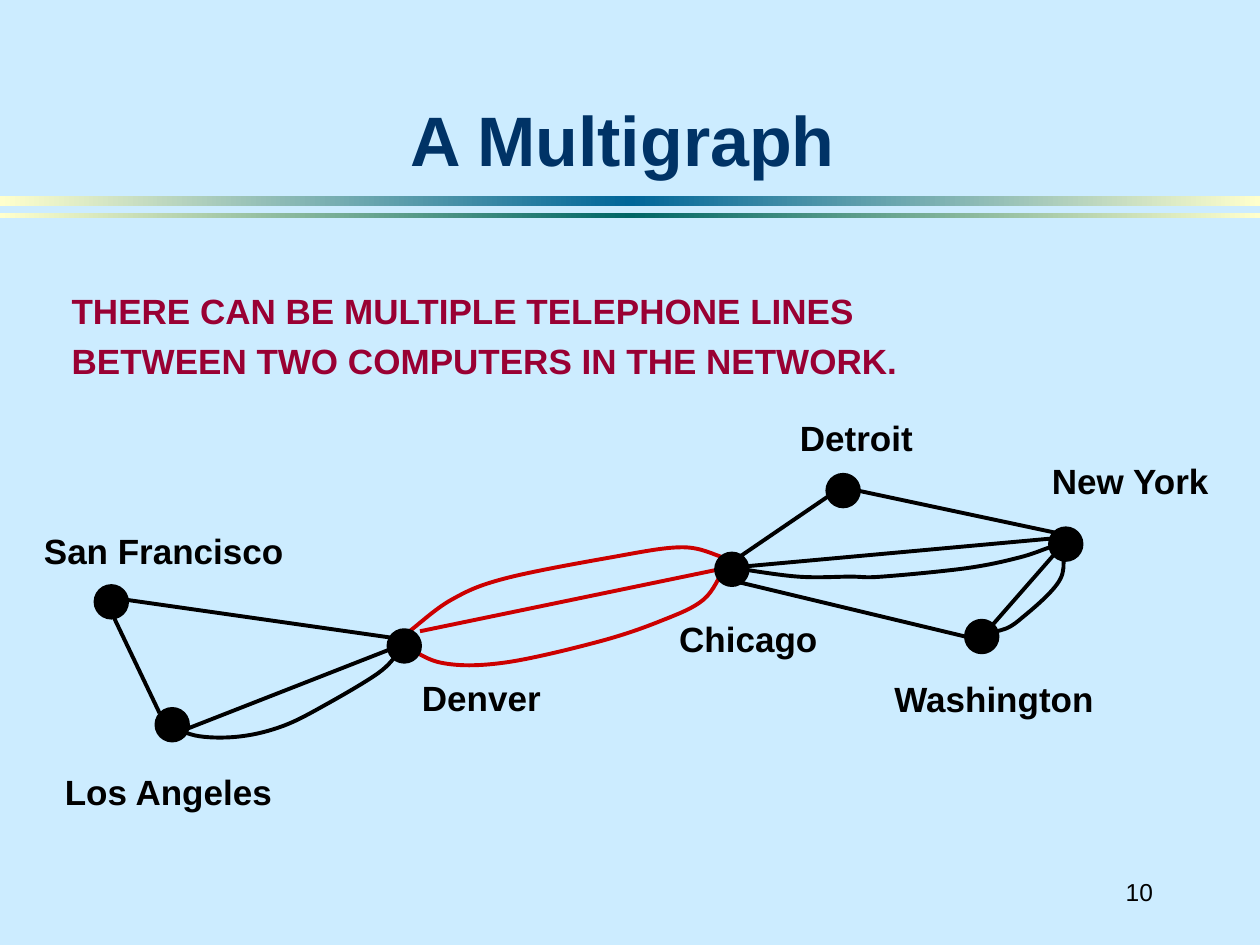
from copy import deepcopy
from pptx import Presentation, util as u
from pptx.dml.color import RGBColor
from pptx.enum import shapes, text
from pptx.oxml import ns, xmlchemy as xc

INK, RED = "000000", "CC0000"
UNIT = 1 / 12  # the map's grid step, in inches

# city: dot column and row, label column, row and width
CITIES = {
    "San Francisco": (10.6, 18.2, 3, 10.7, 26),
    "Los Angeles": (16.4, 29.9, 5, 33.7, 23),
    "Detroit": (80.3, 7.6, 75, 0, 14),
    "Washington": (93.5, 21.5, 84, 24.8, 22.3),
    "New York": (101.5, 12.7, 99, 4.1, 18.4),
    "Denver": (38.5, 22.4, 39, 24.7, 14.5),
    "Chicago": (69.7, 15.1, 63.5, 19.1, 16.4),
}
LINES = [
    (10.9, 19.8, 15.2, 28.8, INK),
    (78.8, 8.2, 70.6, 13.8, INK),
    (12, 18, 40, 22, INK),
    (39, 22, 16, 31, INK),
    (79.8, 7.2, 101.4, 11.8, INK),
    (69, 15, 102, 12, INK),
    (69, 16, 94, 22, INK),
    (94, 21, 101, 13, INK),
    (69, 15, 40, 21, RED),
]
CURVES = [
    (INK, [(16, 30), (19, 31), (23, 31), (27, 30), (31, 28), (36, 25), (38, 23)]),
    (RED, [(38, 22), (42, 24), (48, 24), (57, 22), (63, 20), (67, 18), (69, 15)]),
    (RED, [(39, 21), (43, 18), (48, 16), (58, 14), (65, 13), (69, 14)]),
    (INK, [(101, 12), (101, 16), (97, 20), (95, 21), (94, 21)]),
    (INK, [(70, 15), (76, 15.8), (81, 15.8), (84, 15.8), (92, 15), (97, 14), (100, 13)]),
]


def rgb(hue):
    return RGBColor.from_string(hue)


def inch(*nums):
    return [u.Inches(n) for n in nums]


def write(slide, box, rows, size, hue, bold=True, align="LEFT", anchor="TOP",
          wrap=False, gap=None):
    frame = slide.shapes.add_textbox(*inch(*box)).text_frame
    frame.word_wrap = wrap
    frame.vertical_anchor = getattr(text.MSO_ANCHOR, anchor)
    for i, row in enumerate(rows):
        par = frame.add_paragraph() if i else frame.paragraphs[0]
        par.alignment = getattr(text.PP_ALIGN, align)
        if gap:
            par.line_spacing = gap
        run = par.add_run()
        run.text = row
        font = run.font
        font.name, font.size, font.bold = "Arial", u.Pt(size), bold
        font.color.rgb = rgb(hue)


def stroke(shape, hue):
    shape.line.color.rgb = rgb(hue)
    shape.line.width = u.Pt(2.25)


def band(slide, box, mid):
    """Bar that fades from cream to a middle colour and back."""
    bar = slide.shapes.add_shape(shapes.MSO_SHAPE.RECTANGLE, *inch(*box))
    bar.shadow.inherit = False
    bar.line.fill.background()
    bar.fill.gradient()
    bar.fill.gradient_angle = 0
    stop = bar._element.spPr.find(".//" + ns.qn("a:gs"))
    stop.addnext(deepcopy(stop))
    for part, hue, pos in zip(bar.fill.gradient_stops, ("FFFFCC", mid, "FFFFCC"), (0, 0.5, 1)):
        part.color.rgb = rgb(hue)
        part.position = pos


def bend(knots):
    """Control points of a smooth curve through the knots, three per span."""
    last = len(knots) - 1

    def slope(i):
        a, b = knots[max(i - 1, 0)], knots[min(i + 1, last)]
        part = 4 if i in (0, last) else 6
        return (b[0] - a[0]) / part, (b[1] - a[1]) / part

    for i in range(last):
        (ax, ay), (bx, by) = knots[i], knots[i + 1]
        (sx, sy), (tx, ty) = slope(i), slope(i + 1)
        yield from ((ax + sx, ay + sy), (bx - tx, by - ty), (bx, by))


def curve(slide, knots, hue):
    """Smooth open outline; the knots are in EMU."""
    pen = slide.shapes.build_freeform(*knots[0], scale=1.0)
    pen.add_line_segments(list(bend(knots)), close=False)
    shape = pen.convert_to_shape()
    legs = shape._element.findall(".//" + ns.qn("a:lnTo"))
    for i in range(0, len(legs), 3):
        arc = xc.OxmlElement("a:cubicBezTo")
        legs[i].addprevious(arc)
        for leg in legs[i:i + 3]:
            arc.append(leg[0])
            leg.getparent().remove(leg)
    shape.shadow.inherit = False
    shape.fill.background()
    stroke(shape, hue)


def head(slide, x, y, w, h):
    band(slide, (x, y + h * 0.89, w, 0.08), "006699")
    band(slide, (x, y + h * 0.965, w, 0.04), "006666")
    write(slide, (x + w * 0.065, y + 0.23, w * 0.858, 1.25), ["A Multigraph"],
          40, "003366", align="CENTER", anchor="BOTTOM", wrap=True)


def network(slide, x, y):
    def spot(col, row):
        return inch(x + col * UNIT, y + row * UNIT)

    for hue, knots in CURVES:
        curve(slide, [spot(*k) for k in knots], hue)
    for a, b, c, d, hue in LINES:
        line = slide.shapes.add_connector(
            shapes.MSO_CONNECTOR.STRAIGHT, *spot(a, b), *spot(c, d))
        line._element.spPr.append(xc.OxmlElement("a:effectLst"))
        stroke(line, hue)
    for name, (col, row, left, top, wide) in CITIES.items():
        dot = slide.shapes.add_shape(
            shapes.MSO_SHAPE.OVAL, *spot(col - 1.5, row - 1.5), *inch(0.25, 0.25))
        dot.shadow.inherit = False
        dot.fill.solid()
        dot.fill.fore_color.rgb = rgb(INK)
        stroke(dot, INK)
        write(slide, (x + left * UNIT, y + top * UNIT, wide * UNIT, 0.44), [name], 20, INK)


def main():
    deck = Presentation()
    deck.slide_width, deck.slide_height = inch(10, 7.5)
    slide = deck.slides.add_slide(deck.slide_layouts[6])
    slide.background.fill.solid()
    slide.background.fill.fore_color.rgb = rgb("CCECFF")
    head(slide, 0, 0, 10, 1.75)
    write(slide, (0.47, 2.18, 6.9, 0.9),
          ["THERE CAN BE MULTIPLE TELEPHONE LINES",
           "BETWEEN TWO COMPUTERS IN THE NETWORK."], 20, "990033", gap=1.2)
    network(slide, 0, 3.26)
    write(slide, (8.58, 6.83, 0.67, 0.5), ["10"], 14, INK, bold=False,
          align="RIGHT", anchor="MIDDLE")
    deck.save("out.pptx")


if __name__ == "__main__":
    main()
